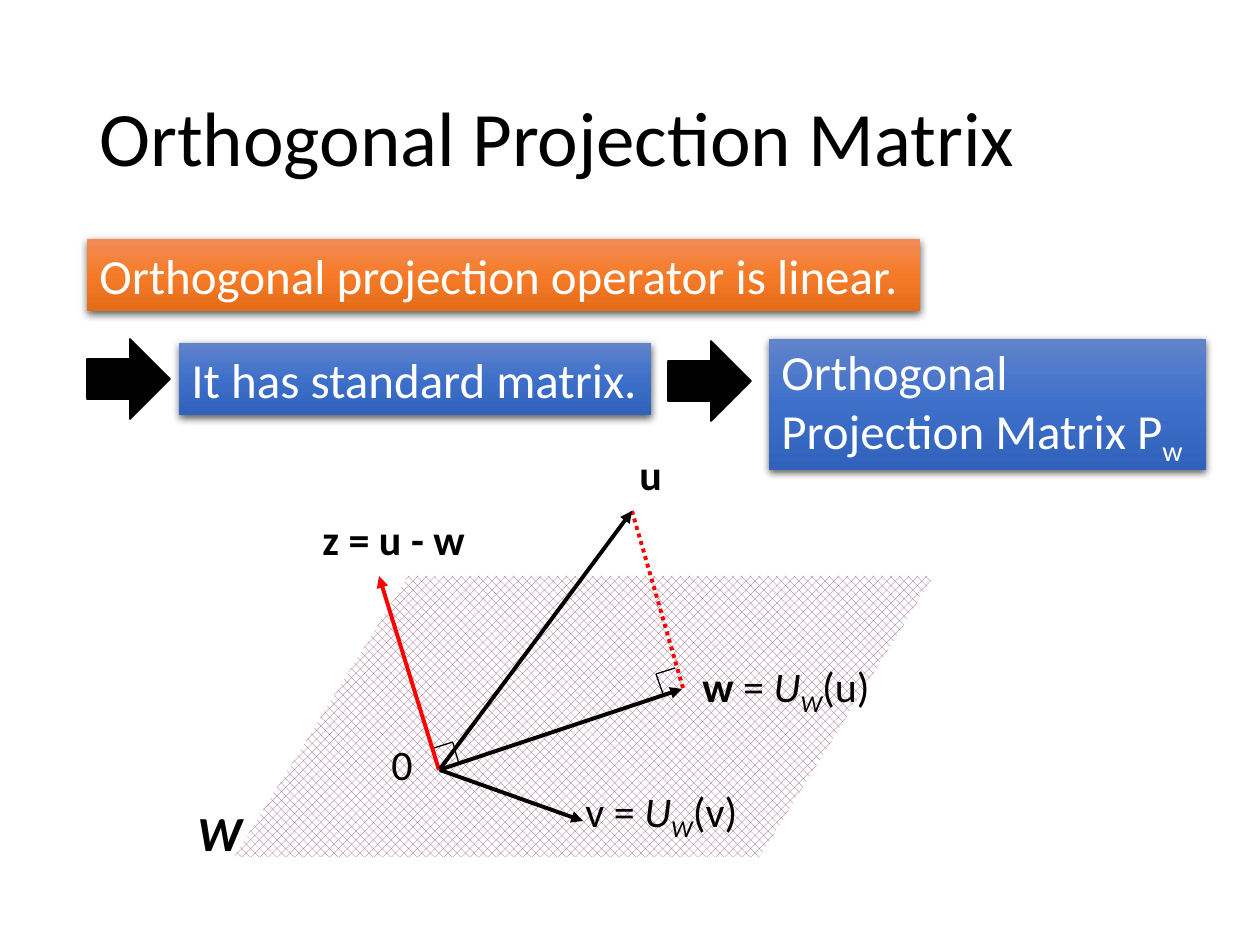
from pptx import Presentation
from pptx.dml.color import RGBColor
from pptx.enum.dml import MSO_LINE_DASH_STYLE as DASH, MSO_PATTERN_TYPE as PATTERN
from pptx.enum.shapes import MSO_CONNECTOR_TYPE as CONNECTOR, MSO_SHAPE as SHAPE
from pptx.enum.text import MSO_ANCHOR as ANCHOR, MSO_AUTO_SIZE as AUTO_SIZE, PP_ALIGN as ALIGN
from pptx.oxml import parse_xml
from pptx.oxml.ns import nsdecls
from pptx.util import Pt

SCALE = 914400 / 126
COLORS = {"black": "000000", "white": "FFFFFF", "red": "FF0000", "plum": "954F72"}
GRADIENTS = {
    "blue": ("6183CB", "3E70CA", "3062BB"),
    "orange": ("F18C57", "F67B28", "E56C19"),
}
FORMATS = {
    "plain": {},
    "bold": {"bold": True},
    "italic": {"italic": True},
    "bold italic": {"bold": True, "italic": True},
    "sub": {},
    "italic sub": {"italic": True},
}


def px(*lengths):
    return [round(length * SCALE) for length in lengths]


def write_text(shape, runs, size, color="black", wrap=False):
    frame = shape.text_frame
    frame.word_wrap = wrap
    frame.auto_size = AUTO_SIZE.SHAPE_TO_FIT_TEXT
    paragraph = frame.paragraphs[0]
    paragraph.alignment = ALIGN.LEFT
    for text, style in runs:
        run = paragraph.add_run()
        run.text = text
        run.font.color.rgb = RGBColor.from_string(COLORS[color])
        for name, value in {"name": "Calibri", "size": Pt(size), **FORMATS[style]}.items():
            setattr(run.font, name, value)
        if style.endswith("sub"):
            run.font._element.set("baseline", "-25000")


presentation = Presentation()
presentation.slide_width, presentation.slide_height = px(1260, 945)
slide = presentation.slides.add_slide(presentation.slide_layouts[6])
shapes = slide.shapes

# Title
title = shapes.add_textbox(*px(87, 50, 1086, 183))
write_text(title, [("Orthogonal Projection Matrix", "plain")], 44, wrap=True)
title.text_frame.auto_size = AUTO_SIZE.NONE
title.text_frame.vertical_anchor = ANCHOR.MIDDLE
title.text_frame.paragraphs[0].line_spacing = 0.9

# Plane W
plane = shapes.add_shape(SHAPE.PARALLELOGRAM, *px(234, 576, 700, 281))
plane.adjustments[0] = 0.62
plane.shadow.inherit = False
plane.line.fill.background()
plane.fill.patterned()
plane.fill.pattern = PATTERN.PERCENT_50
plane.fill.fore_color.rgb = RGBColor.from_string(COLORS["plum"])
plane.fill.back_color.rgb = RGBColor.from_string(COLORS["white"])

# Vectors, dotted projection line and right-angle marks
LINES = [
    ((439, 770), (682, 689), "black", "arrow"),
    ((439, 770), (379, 576), "red", "arrow"),
    ((683, 688), (632, 511), "red", "dotted"),
    ((440, 769), (632, 511), "black", "arrow"),
    ((440, 770), (583, 821), "black", "arrow"),
    ((656, 674), (675, 668), "black", "mark"),
    ((656, 674), (663, 694), "black", "mark"),
    ((434, 748), (453, 742), "black", "mark"),
    ((453, 743), (459, 764), "black", "mark"),
]
for start, end, color, kind in LINES:
    connector = shapes.add_connector(CONNECTOR.STRAIGHT, *px(*start, *end))
    connector.line.color.rgb = RGBColor.from_string(COLORS[color])
    connector.line.width = Pt(0.75 if kind == "mark" else 2.25)
    if kind == "dotted":
        connector.line.dash_style = DASH.ROUND_DOT
    if kind == "arrow":
        arrowhead = parse_xml(f'<a:tailEnd {nsdecls("a")} type="triangle"/>')
        connector.line._get_or_add_ln().append(arrowhead)
    connector._element.spPr.append(parse_xml(f'<a:effectLst {nsdecls("a")}/>'))

# Labels
LABELS = [
    ((379, 732, 72, 64), 24, [("0", "plain")]),
    ((573, 779, 183, 64), 24,
     [("v = ", "plain"), ("U", "italic"), ("W", "italic sub"), ("(v)", "plain")]),
    ((690, 654, 197, 64), 24,
     [("w", "bold"), (" = ", "plain"), ("U", "italic"), ("W", "italic sub"), ("(u)", "plain")]),
    ((627, 442, 48, 64), 24, [("u", "bold")]),
    ((185, 796, 71, 72), 28, [("W", "bold italic")]),
    ((310, 507, 173, 63), 24, [("z = u - w", "bold")]),
]
for box, size, runs in LABELS:
    write_text(shapes.add_textbox(*px(*box)), runs, size)

# Statement boxes
STATEMENTS = [
    ((769, 339, 437, 131), "blue", True,
     [("Orthogonal Projection Matrix P", "plain"), ("w", "sub")]),
    ((179, 343, 472, 72), "blue", True, [("It has standard matrix.", "plain")]),
    ((87, 239, 833, 72), "orange", False,
     [("Orthogonal projection operator is linear.", "plain")]),
]
for box, gradient, wrap, runs in STATEMENTS:
    statement = shapes.add_shape(SHAPE.RECTANGLE, *px(*box))
    stops = "".join(
        f'<a:gs pos="{index * 50000}"><a:srgbClr val="{color}"/></a:gs>'
        for index, color in enumerate(GRADIENTS[gradient])
    )
    properties = statement._element.spPr
    properties.append(parse_xml(
        f'<a:gradFill {nsdecls("a")} rotWithShape="1"><a:gsLst>{stops}</a:gsLst>'
        '<a:lin ang="5400000" scaled="0"/></a:gradFill>'))
    statement.line.fill.background()
    properties.append(parse_xml(
        f'<a:effectLst {nsdecls("a")}><a:outerShdw blurRad="57150" dist="19050" '
        'dir="5400000" algn="ctr" rotWithShape="0"><a:srgbClr val="000000">'
        '<a:alpha val="63000"/></a:srgbClr></a:outerShdw></a:effectLst>'))
    write_text(statement, runs, 28, "white", wrap)

# Block arrows between the statements
for left, top in [(87, 339), (668, 341)]:
    arrow = shapes.add_shape(SHAPE.RIGHT_ARROW, *px(left, top, 83, 80))
    arrow.shadow.inherit = False
    arrow.fill.solid()
    arrow.fill.fore_color.rgb = RGBColor.from_string(COLORS["black"])
    arrow.line.color.rgb = RGBColor.from_string(COLORS["black"])
    arrow.line.width = Pt(1)

presentation.save("out.pptx")
